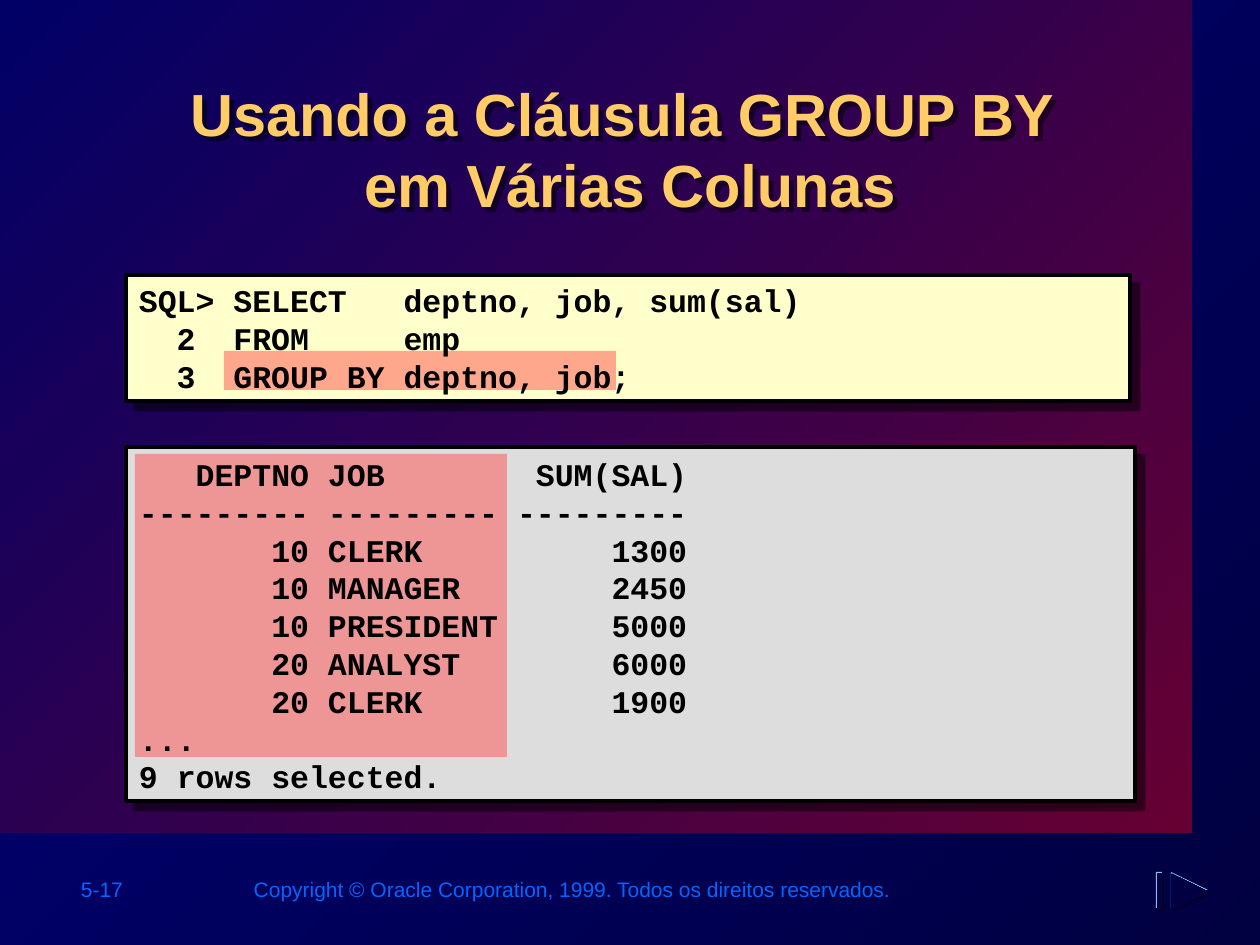
from lxml import etree
from pptx import Presentation
from pptx.dml.color import RGBColor
from pptx.enum.shapes import MSO_SHAPE
from pptx.enum.text import MSO_ANCHOR, MSO_AUTO_SIZE, PP_ALIGN
from pptx.oxml.ns import qn
from pptx.util import Pt

RECT = MSO_SHAPE.RECTANGLE
TOP = MSO_ANCHOR.TOP
NO_AUTOSIZE = MSO_AUTO_SIZE.NONE
LEFT, CENTER, RIGHT = PP_ALIGN.LEFT, PP_ALIGN.CENTER, PP_ALIGN.RIGHT

NAVY = RGBColor(0x00, 0x00, 0x80)
DARK_NAVY = RGBColor(0x00, 0x00, 0x40)
INDIGO = RGBColor(0x00, 0x00, 0x66)
WINE = RGBColor(0x66, 0x00, 0x33)
GOLD = RGBColor(0xFF, 0xCC, 0x66)
BLUE = RGBColor(0x00, 0x66, 0xFF)
SKY = RGBColor(0x7F, 0xC1, 0xEB)
CREAM = RGBColor(0xFF, 0xFF, 0xCC)
GRAY = RGBColor(0xDD, 0xDD, 0xDD)
CORAL = RGBColor(0xFF, 0x50, 0x50)
BLACK = RGBColor(0x00, 0x00, 0x00)

TITLE = "Usando a Cláusula GROUP BY \vem Várias Colunas"
QUERY = """SQL> SELECT   deptno, job, sum(sal)
  2  FROM     emp
  3  GROUP BY deptno, job;"""
RESULT = """   DEPTNO JOB        SUM(SAL)
--------- --------- ---------
       10 CLERK          1300
       10 MANAGER        2450
       10 PRESIDENT      5000
       20 ANALYST        6000
       20 CLERK          1900
...
9 rows selected."""
COPYRIGHT = "Copyright © Oracle Corporation, 1999. Todos os direitos reservados."


def px(n):
    return round(n * 914400 / 126)


def set_gradient(fill, start, end):
    """Fill diagonally from the top left to the bottom right."""
    fill.gradient()
    fill.gradient_angle = 315
    for stop, color, position in zip(fill.gradient_stops, (start, end), (0, 1)):
        stop.color.rgb = color
        stop.position = position


def set_shadow(sp, distance):
    """Cast a half-transparent black shadow to the lower right."""
    sp.shadow.inherit = False
    effects = sp._element.spPr.find(qn("a:effectLst"))
    shadow = etree.SubElement(effects, qn("a:outerShdw"), dist=str(distance),
                              dir="2700000", algn="ctr", rotWithShape="0")
    color = etree.SubElement(shadow, qn("a:srgbClr"), val="000000")
    etree.SubElement(color, qn("a:alpha"), val="50000")


def finish_shape(sp, fill=None):
    """Remove the outline and shadow; without a fill, show the slide background."""
    sp.shadow.inherit = False
    sp.line.fill.background()
    if fill is None:
        sp._element.set("useBgFill", "1")
    else:
        sp.fill.solid()
        sp.fill.fore_color.rgb = fill


def add_rect(slide, x, y, w, h, fill=None):
    sp = slide.shapes.add_shape(RECT, px(x), px(y), px(w), px(h))
    finish_shape(sp, fill)
    return sp


def add_triangle(slide, x, y, w, h, fill=None):
    builder = slide.shapes.build_freeform(px(x + w), px(y + h / 2))
    builder.add_line_segments([(px(x), px(y)), (px(x), px(y + h))], close=True)
    finish_shape(builder.convert_to_shape(), fill)


def add_panel(slide, x, y, w, h, fill):
    sp = add_rect(slide, x, y, w, h, fill)
    sp.line.color.rgb = BLACK
    sp.line.width = Pt(2)
    set_shadow(sp, 90000)


def add_highlight(slide, x, y, w, h):
    sp = add_rect(slide, x, y, w, h, CORAL)
    color = sp._element.spPr.find(qn("a:solidFill"))[0]
    etree.SubElement(color, qn("a:alpha"), val="50000")


def write_text(sp, text, size, color, font="Arial", bold=False, align=LEFT,
               inset=6, wrap=True):
    tf = sp.text_frame
    tf.text = text
    tf.word_wrap = wrap
    tf.auto_size = NO_AUTOSIZE
    tf.vertical_anchor = TOP
    tf.margin_left = tf.margin_right = px(13)
    tf.margin_top, tf.margin_bottom = px(inset), px(6)
    for p in tf.paragraphs:
        p.alignment = align
        p.line_spacing = 1.0
        for r in p.runs:
            r.font.name = font
            r.font.size = Pt(size)
            r.font.bold = bold
            r.font.color.rgb = color


def add_text(slide, x, y, w, h, text, size, color, **style):
    sp = slide.shapes.add_textbox(px(x), px(y), px(w), px(h))
    write_text(sp, text, size, color, **style)


def add_title(slide):
    sp = slide.shapes.title
    sp.left, sp.top, sp.width, sp.height = map(px, (127, 71, 1006, 121))
    write_text(sp, TITLE, 34, GOLD, bold=True, align=CENTER)
    for br in sp.text_frame.paragraphs[0]._p.findall(qn("a:br")):
        etree.SubElement(br, qn("a:rPr"), sz="3400")
    set_shadow(sp, 50800)


def add_next_button(slide):
    """Draw an embossed bar and arrow: dark edge, light edge, then the face."""
    layers = ((2, 3, BLACK), (0, 0, SKY), (1, 2, None))
    for dx, dy, fill in layers:
        add_rect(slide, 1156 + dx, 872 + dy, 6, 36, fill)
    for dx, dy, fill in layers:
        add_triangle(slide, 1171 + dx, 872 + dy, 37, 36, fill)


def main():
    prs = Presentation()
    prs.slide_width, prs.slide_height = px(1260), px(945)
    slide = prs.slides.add_slide(prs.slide_layouts[5])
    set_gradient(slide.background.fill, NAVY, DARK_NAVY)

    backdrop = add_rect(slide, 0, 0, 1192, 833, INDIGO)
    set_gradient(backdrop.fill, INDIGO, WINE)
    slide.shapes._spTree.insert(2, backdrop._element)
    add_text(slide, 68, 871, 140, 38, "5-17", 12, BLUE, wrap=False)
    add_text(slide, 239, 871, 665, 38, COPYRIGHT, 12, BLUE, align=RIGHT)
    add_title(slide)

    add_panel(slide, 126, 275, 1004, 126, CREAM)
    add_panel(slide, 126, 447, 1009, 354, GRAY)
    add_highlight(slide, 224, 351, 392, 39)
    add_highlight(slide, 135, 454, 372, 303)
    code = {"font": "Courier New", "bold": True, "inset": 9}
    add_text(slide, 126, 272, 1008, 130, QUERY, 18, BLACK, **code)
    add_text(slide, 126, 446, 1013, 358, RESULT, 18, BLACK, **code)

    add_next_button(slide)
    prs.save("out.pptx")


if __name__ == "__main__":
    main()
